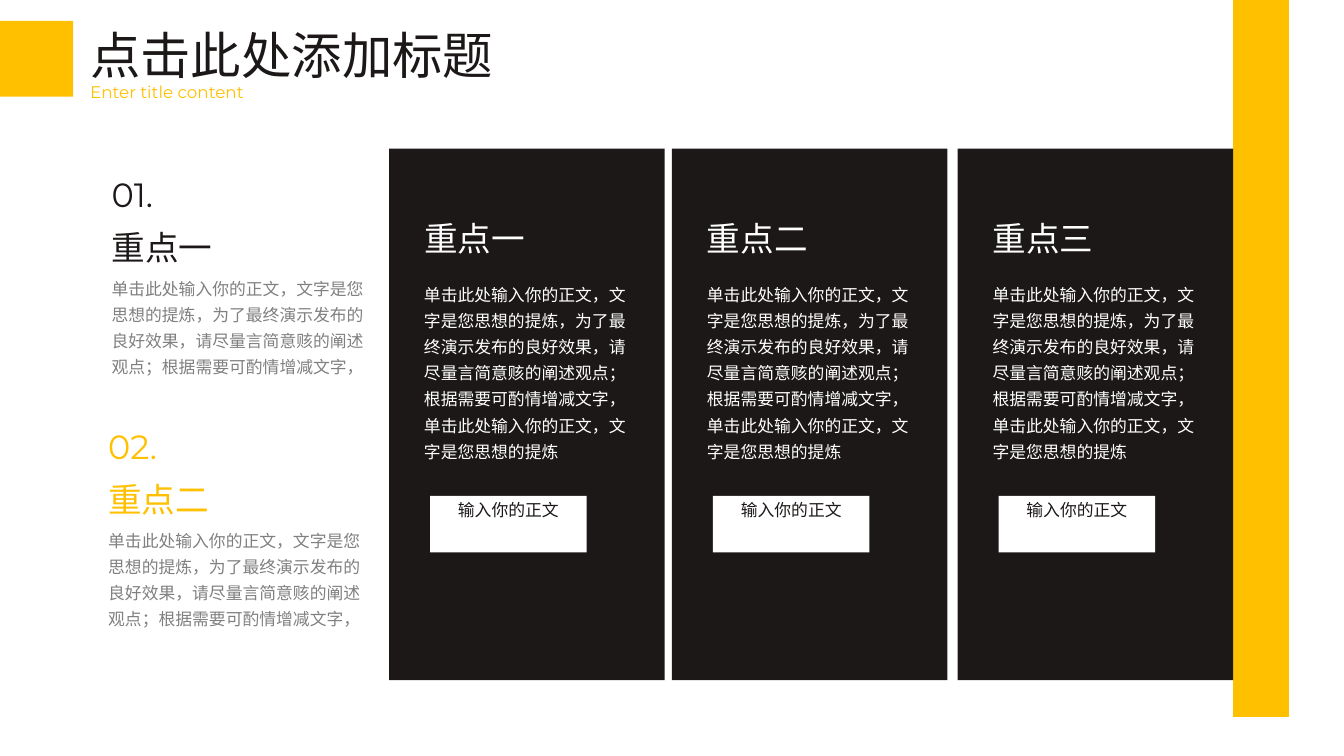
from pptx import Presentation
from pptx.dml.color import RGBColor
from pptx.enum.shapes import MSO_SHAPE as Shape
from pptx.enum.text import MSO_ANCHOR as Anchor, MSO_AUTO_SIZE as AutoSize, PP_ALIGN as Align
from pptx.util import Inches, Pt

COLORS = {"yellow": "FFC000", "dark": "1D1818", "white": "FFFFFF", "gray": "808080"}
HAN, LATIN = "Calibri", "Montserrat"
SUMMARY = ("单击此处输入你的正文，文字是您思想的提炼，为了最终演示发布的良好效果，"
           "请尽量言简意赅的阐述观点；根据需要可酌情增减文字，")
DETAIL = SUMMARY + "单击此处输入你的正文，文字是您思想的提炼"

presentation = Presentation()
presentation.slide_width, presentation.slide_height = Inches(20), Inches(11.25)
slide = presentation.slides.add_slide(presentation.slide_layouts[6])

# Grid of 20 columns by 11.25 rows
COLUMN = presentation.slide_width / 20
ROW = presentation.slide_height / 11.25


def add_block(left, top, width, height, color):
    shape = slide.shapes.add_shape(Shape.RECTANGLE, int(left * COLUMN), int(top * ROW),
                                   int(width * COLUMN), int(height * ROW))
    shape.shadow.inherit = False
    shape.fill.solid()
    shape.fill.fore_color.rgb = RGBColor.from_string(COLORS[color])
    shape.line.fill.background()
    return shape


def add_text(text, left, top, width, height, size, spacing, color, font=HAN, block=None):
    shape = block or slide.shapes.add_textbox(int(left * COLUMN), int(top * ROW),
                                              int(width * COLUMN), int(height * ROW))
    frame = shape.text_frame
    frame.word_wrap = True
    frame.vertical_anchor = Anchor.TOP
    frame.auto_size = AutoSize.NONE if block else AutoSize.SHAPE_TO_FIT_TEXT
    inset = Inches(0.06 if block else 0)
    frame.margin_left = frame.margin_right = frame.margin_top = frame.margin_bottom = inset
    paragraph = frame.paragraphs[0]
    paragraph.text = text
    paragraph.alignment = Align.CENTER if block else Align.LEFT
    paragraph.line_spacing = Pt(spacing)
    paragraph.font.size = Pt(size)
    paragraph.font.name = font
    paragraph.font.color.rgb = RGBColor.from_string(COLORS[color])


# Yellow accents
add_block(18.35, 0, 0.83, 10.67, "yellow")
add_block(0, 0.31, 1.09, 1.13, "yellow")

# Title and subtitle
add_text("点击此处添加标题", 1.34, 0.36, 7.56, 0.9, 54, 64.8, "dark")
add_text("Enter title content", 1.34, 1.22, 3.89, 0.29, 18, 21.6, "yellow", LATIN)

# Numbered points on the left
for number, heading, left, top, color in [("01.", "重点一", 1.66, 2.59, "dark"),
                                          ("02.", "重点二", 1.61, 6.34, "yellow")]:
    add_text(number, left, top, 3.89, 0.59, 36, 43.2, color, LATIN)
    add_text(heading, left, top + 0.78, 1.95, 0.59, 36, 43.2, color)
    add_text(SUMMARY, left, top + 1.46, 3.89, 1.52, 18, 28.1, "gray")

# Dark cards with heading, detail and button
for heading, left in [("重点一", 5.79), ("重点二", 10), ("重点三", 14.25)]:
    add_block(left, 2.21, 4.1, 7.91, "dark")
    add_text(heading, left + 0.52, 3.24, 1.95, 0.6, 36, 43.2, "white")
    add_text(DETAIL, left + 0.52, 4.14, 3.13, 2.68, 18, 28.1, "white")
    button = add_block(left + 0.61, 7.38, 2.33, 0.84, "white")
    add_text("输入你的正文", 0, 0, 0, 0, 18, 21.6, "dark", block=button)

presentation.save("out.pptx")
